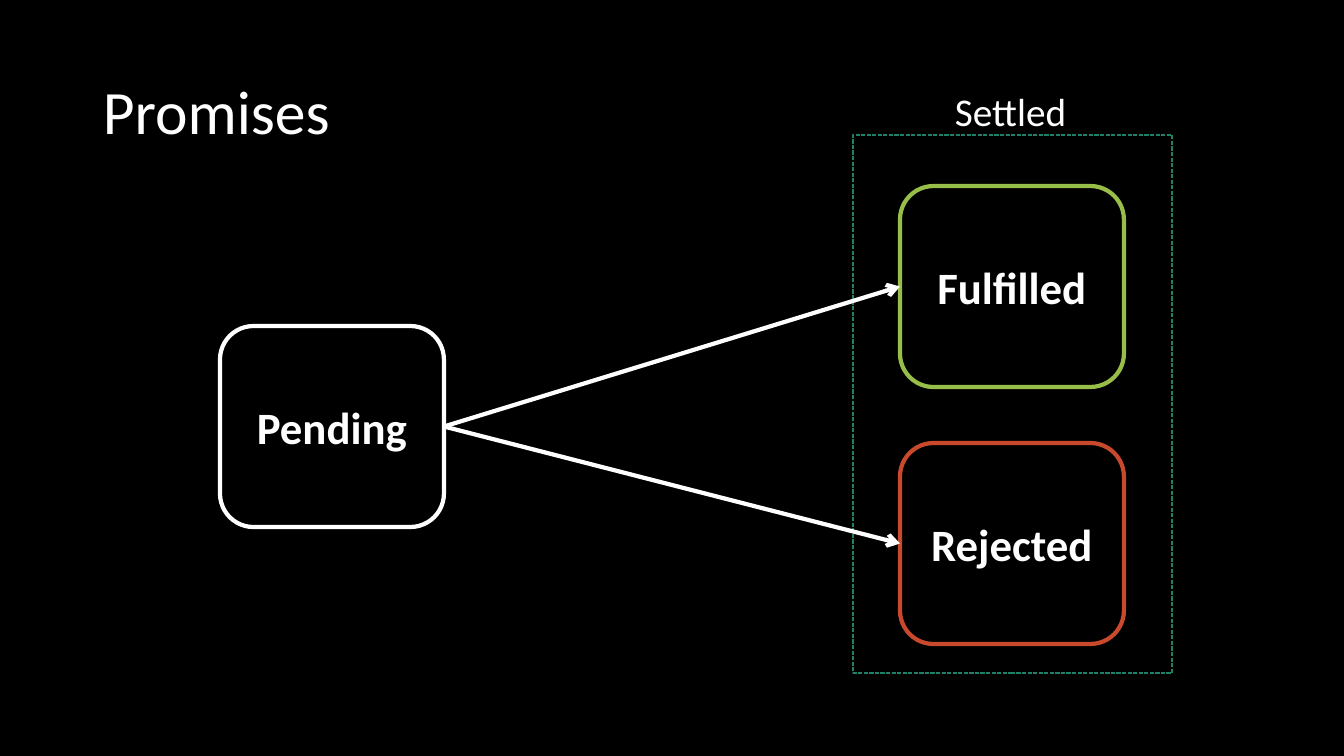
import pptx
import pptx.util
import pptx.dml.color
import pptx.enum.dml
import pptx.enum.shapes
import pptx.enum.text
import pptx.oxml.ns
import lxml.etree

RGBColor = pptx.dml.color.RGBColor
BLACK = RGBColor(0x00, 0x00, 0x00)
WHITE = RGBColor(0xFF, 0xFF, 0xFF)
GREEN = RGBColor(0x97, 0xBE, 0x49)
RED = RGBColor(0xC9, 0x49, 0x2C)
TEAL = RGBColor(0x1E, 0x81, 0x68)

SHAPE = pptx.enum.shapes.MSO_SHAPE
ALIGN = pptx.enum.text.PP_ALIGN
ANCHOR = pptx.enum.text.MSO_ANCHOR
TOP, LEFT, BOTTOM, RIGHT = range(4)

PX_PER_INCH = 100.8
STATE_W, STATE_H = 224, 201


def px(n):
    return pptx.util.Inches(n / PX_PER_INCH)


def format_text(shape, text, size, bold=False, align=ALIGN.LEFT,
                anchor=ANCHOR.MIDDLE, wrap=True):
    tf = shape.text_frame
    for name, value in {"word_wrap": wrap, "vertical_anchor": anchor}.items():
        setattr(tf, name, value)
    p = tf.paragraphs[0]
    p.alignment = align
    r = p.add_run()
    r.text = text
    font = {"name": "Calibri", "size": pptx.util.Pt(size), "bold": bold}
    for name, value in font.items():
        setattr(r.font, name, value)
    r.font.color.rgb = WHITE
    return p


def add_outline(s, kind, box, color, width):
    sp = s.shapes.add_shape(kind, *map(px, box))
    sp.shadow.inherit = False
    sp.line.color.rgb = color
    sp.line.width = pptx.util.Pt(width)
    return sp


def add_title(s, box, text):
    tb = s.shapes.add_textbox(*map(px, box))
    p = format_text(tb, text, 44)
    p.line_spacing = 0.9


def add_state(s, box, text, color):
    sp = add_outline(s, SHAPE.ROUNDED_RECTANGLE, box, color, 3)
    sp.fill.solid()
    sp.fill.fore_color.rgb = BLACK
    format_text(sp, text, 32, bold=True, align=ALIGN.CENTER)
    return sp


def add_settled(s, box, text, states):
    x, y, w, h = box
    state_x = x + (w - STATE_W) // 2
    shapes = [add_state(s, (state_x, y + 51 + i * 257, STATE_W, STATE_H), *state)
              for i, state in enumerate(states)]
    frame = add_outline(s, SHAPE.RECTANGLE, box, TEAL, 1)
    frame.fill.background()
    frame.line.dash_style = pptx.enum.dml.MSO_LINE.SQUARE_DOT
    label_w, label_h = 133, 57
    tb = s.shapes.add_textbox(px(x + (w - label_w) // 2 - 1), px(y - 53),
                              px(label_w), px(label_h))
    format_text(tb, text, 28, anchor=ANCHOR.TOP, wrap=False)
    tb.text_frame.auto_size = pptx.enum.text.MSO_AUTO_SIZE.SHAPE_TO_FIT_TEXT
    return shapes


def add_arrow(s, start, end):
    c = s.shapes.add_connector(pptx.enum.shapes.MSO_CONNECTOR.STRAIGHT, 0, 0, 0, 0)
    c.begin_connect(start, RIGHT)
    c.end_connect(end, LEFT)
    c.line.color.rgb = WHITE
    c.line.width = pptx.util.Pt(3)
    qn = pptx.oxml.ns.qn
    lxml.etree.SubElement(c.line._get_or_add_ln(), qn("a:tailEnd"), type="arrow")
    lxml.etree.SubElement(c._element.spPr, qn("a:effectLst"))


def add_promise_slide(prs):
    s = prs.slides.add_slide(prs.slide_layouts[6])
    s.background.fill.solid()
    s.background.fill.fore_color.rgb = BLACK
    add_title(s, (93, 42, 1159, 146), "Promises")
    pending = add_state(s, (220, 326, STATE_W, STATE_H), "Pending", WHITE)
    outcomes = add_settled(s, (853, 135, 319, 538), "Settled",
                           [("Fulfilled", GREEN), ("Rejected", RED)])
    for outcome in outcomes:
        add_arrow(s, pending, outcome)


def main():
    prs = pptx.Presentation()
    prs.slide_width, prs.slide_height = px(1344), px(756)
    add_promise_slide(prs)
    prs.save("out.pptx")


if __name__ == "__main__":
    main()
